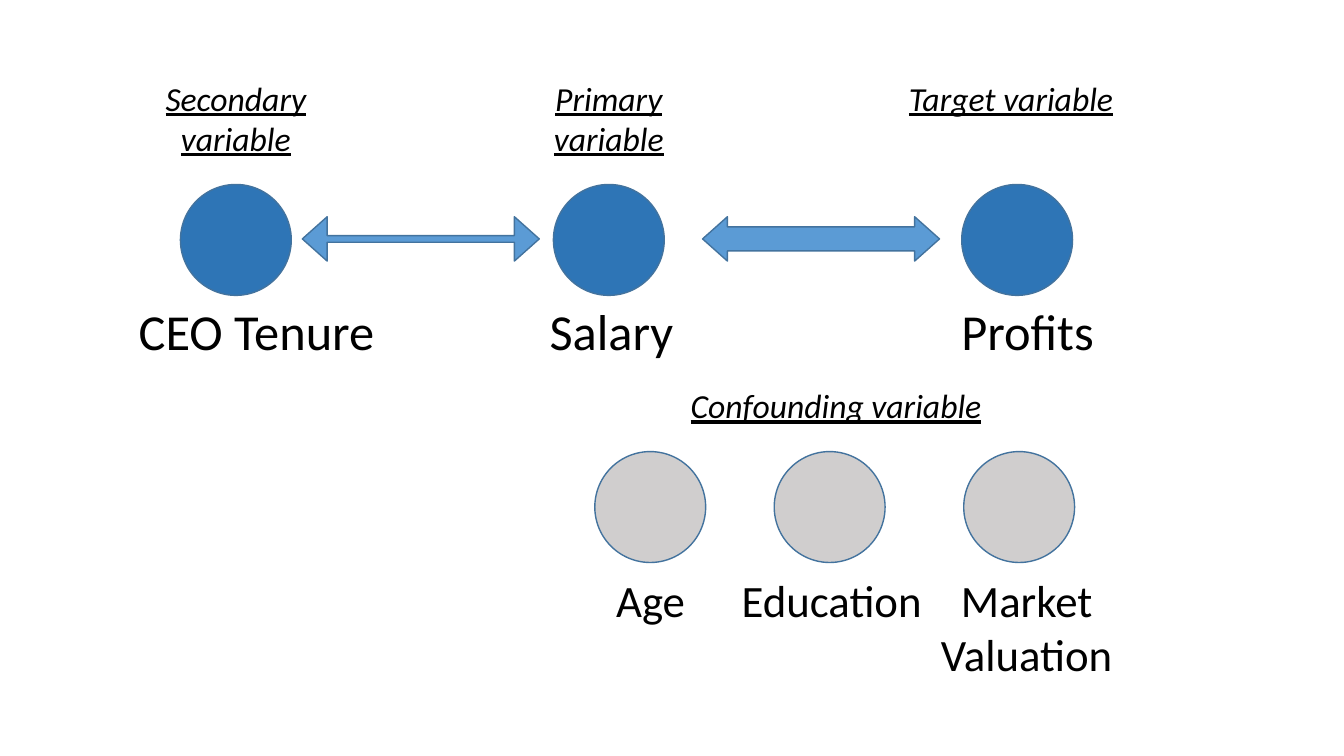
"""Build a slide of a target variable, its related variables and the confounding ones."""
from pptx import Presentation
from pptx import util as u
from pptx.dml.color import RGBColor
from pptx.enum import shapes, text

BLUE = RGBColor(0x2E, 0x75, 0xB6)
LIGHT_BLUE = RGBColor(0x5B, 0x9B, 0xD5)
GREY = RGBColor(0xD0, 0xCE, 0xCE)
OUTLINE = RGBColor(0x43, 0x73, 0x9E)
BLACK = RGBColor(0, 0, 0)

presentation = Presentation()
presentation.slide_width = u.Inches(13.33)
presentation.slide_height = u.Inches(7.5)
slide = presentation.slides.add_slide(presentation.slide_layouts[6])


def box(center, top, width, height):
    """Turn percentages of the slide into left, top, width and height."""
    across = presentation.slide_width / 100
    down = presentation.slide_height / 100
    return [round(length) for length in (
        (center - width / 2) * across, top * down, width * across, height * down)]


def add_figure(kind, place, color):
    """Add an outlined preset shape."""
    shape = slide.shapes.add_shape(kind, *box(*place))
    shape.shadow.inherit = False
    shape.fill.solid()
    shape.fill.fore_color.rgb = color
    shape.line.color.rgb = OUTLINE
    shape.line.width = u.Pt(1)
    return shape


circle_rows = [
    (24.4, BLUE, (17.55, 45.3, 75.68)),
    (59.73, GREY, (48.38, 61.73, 75.83)),
]
for top, color, centers in circle_rows:
    for center in centers:
        add_figure(shapes.MSO_SHAPE.OVAL, (center, top, 8.25, 14.67), color)

for center, thickness in ((31.31, 0.15), (61.09, 0.54)):
    arrow = add_figure(
        shapes.MSO_SHAPE.LEFT_RIGHT_ARROW, (center, 28.67, 17.63, 5.87), LIGHT_BLUE)
    arrow.adjustments[0] = thickness
    arrow.adjustments[1] = 0.56

label_rows = [
    (9.6, 12.13, 24, True, [
        ("Secondary variable", 17.55, 19.65),
        ("Primary variable", 45.3, 16.7),
        ("Target variable", 75.23, 16.8),
    ]),
    (39, 9.47, 36, False, [
        ("CEO Tenure", 19.09, 19.28),
        ("Salary", 45.49, 14.03),
        ("Profits", 76.46, 14.03),
    ]),
    (50.27, 6.67, 24, True, [("Confounding variable", 62.2, 28.28)]),
    (75.1, 8.53, 32, False, [
        ("Age", 48.41, 14.03),
        ("Education", 61.88, 20.1),
        ("Market Valuation", 76.39, 21.08),
    ]),
]
for top, height, size, is_role, labels in label_rows:
    for wording, center, width in labels:
        label = slide.shapes.add_textbox(*box(center, top, width, height))
        label.text_frame.word_wrap = True
        paragraph = label.text_frame.paragraphs[0]
        paragraph.text = wording
        paragraph.alignment = text.PP_ALIGN.CENTER
        paragraph.font.name = "Calibri"
        paragraph.font.size = u.Pt(size)
        paragraph.font.color.rgb = BLACK
        paragraph.font.italic = is_role
        paragraph.font.underline = is_role

presentation.save("out.pptx")
